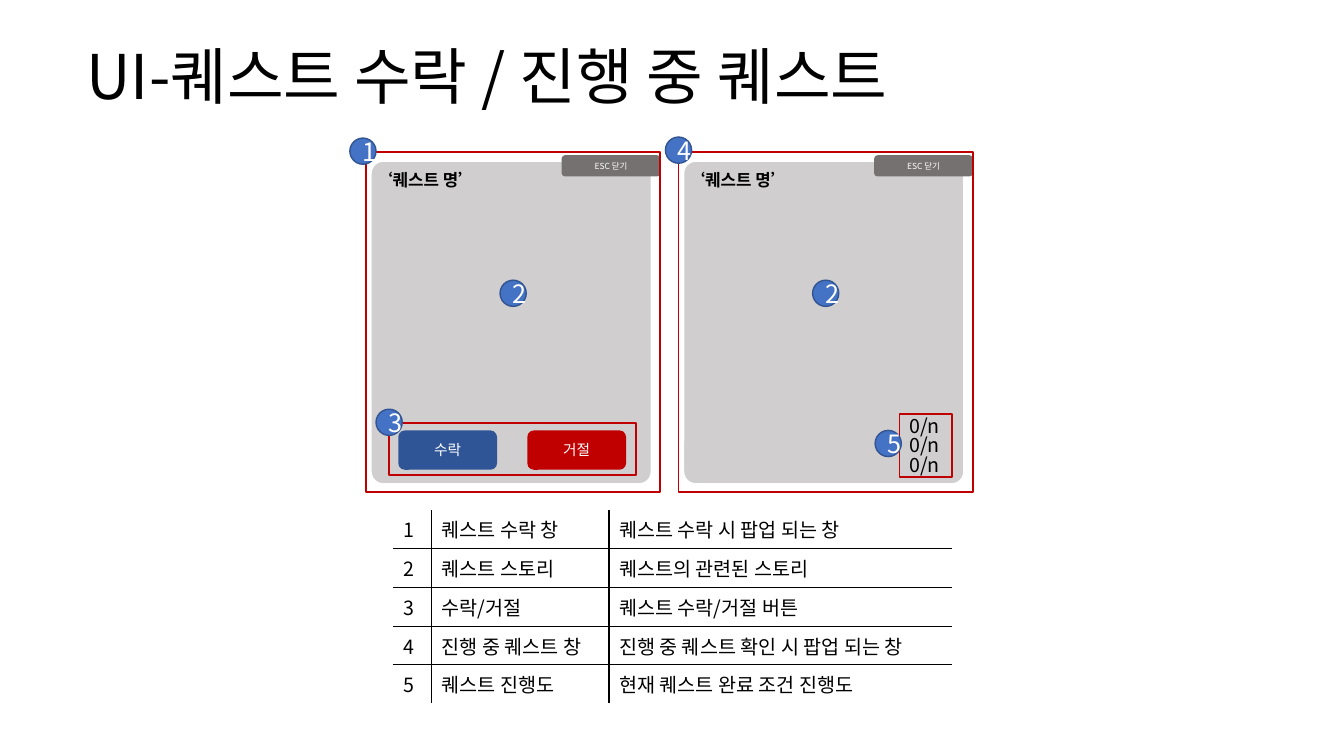
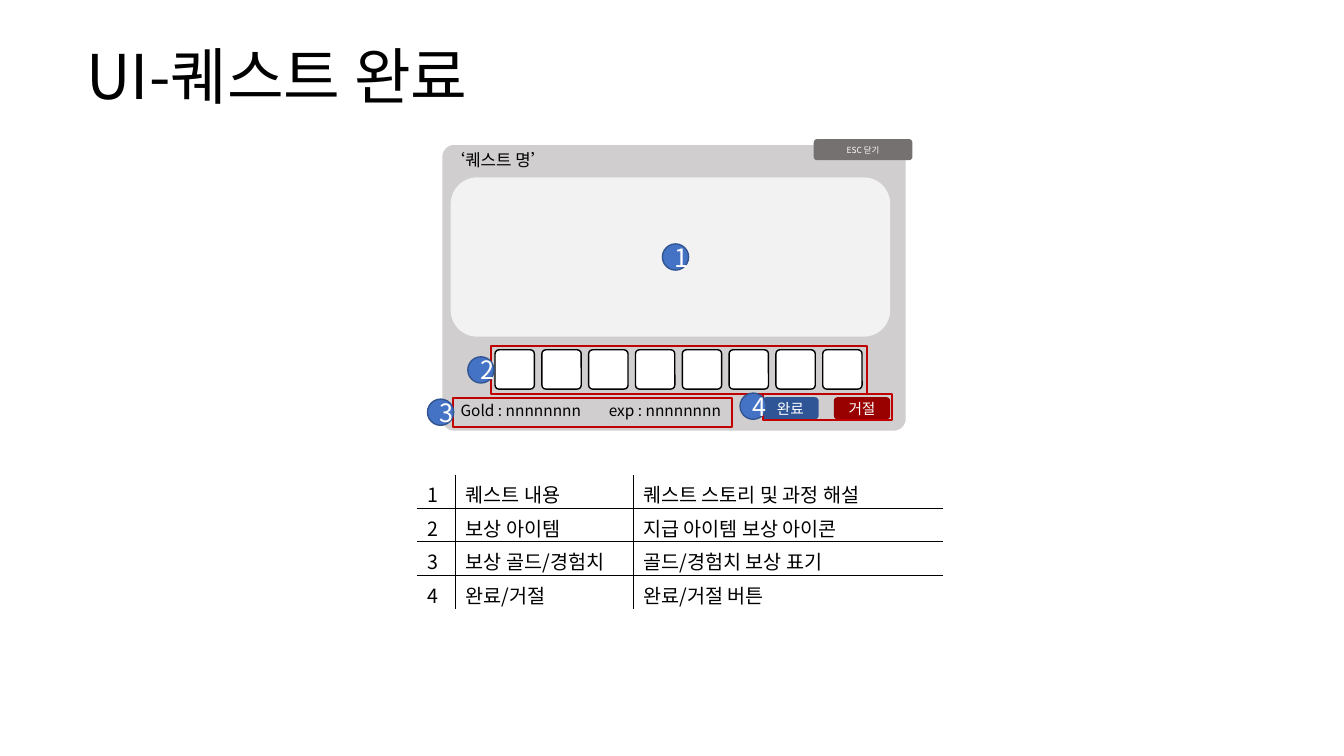
"""Build two slides that explain the quest windows of a game."""
from dataclasses import dataclass
from typing import Optional

from lxml.etree import SubElement
from pptx import Presentation
from pptx.dml.color import RGBColor
from pptx.enum.shapes import MSO_SHAPE
from pptx.enum.text import MSO_ANCHOR, PP_ALIGN
from pptx.oxml.ns import qn
from pptx.slide import Slide
from pptx.util import Inches, Pt


@dataclass(frozen=True)
class Theme:
    font: str = "Noto Sans CJK KR"
    black: str = "000000"
    white: str = "FFFFFF"
    panel: str = "D0CECE"
    paper: str = "F2F2F2"
    gray: str = "767171"
    blue: str = "2F5597"
    red: str = "C00000"
    dark: str = "990000"
    badge: str = "4472C4"
    edge: str = "325491"
    title: float = 44
    mark: float = 18
    body: float = 14
    name: float = 12
    prize: float = 11
    button: float = 10.5
    hint: float = 6


@dataclass(frozen=True)
class Box:
    x: float
    y: float
    w: float
    h: float


@dataclass(frozen=True)
class Style:
    kind: MSO_SHAPE = MSO_SHAPE.ROUNDED_RECTANGLE
    fill: Optional[str] = None
    line: Optional[str] = None
    width: float = 1
    round: Optional[float] = None
    size: float = 10.5


@dataclass(frozen=True)
class Badge:
    text: str
    x: float
    y: float


T = Theme()
PANEL = Style(fill=T.panel, line=T.white, round=0.043)
PAPER = Style(fill=T.paper)
SLOT = Style(fill=T.white, line=T.black, round=0.101)
FRAME = Style(MSO_SHAPE.RECTANGLE, line=T.red, width=1.25)
BADGE = Style(MSO_SHAPE.OVAL, T.badge, T.edge, size=T.mark)
HINT = Style(fill=T.gray, size=T.hint)
BLUE = Style(fill=T.blue, size=T.button)
RED = Style(fill=T.red, size=T.button)
DARK = Style(fill=T.dark, size=T.button)


def write(frame, text: str, size: float, color: str = T.black,
          bold: bool = False):
    """Set the text of a frame and return its paragraph."""
    para = frame.paragraphs[0]
    para.text = text
    font = para.font
    font.name, font.size, font.bold = T.font, Pt(size), bold
    font.color.rgb = RGBColor.from_string(color)
    SubElement(font._element, qn("a:ea"), typeface=T.font)
    return para


def draw(slide: Slide, box: Box, style: Style, text: str = "") -> None:
    """Draw one shape with centred white text."""
    shape = slide.shapes.add_shape(
        style.kind, Inches(box.x), Inches(box.y), Inches(box.w), Inches(box.h))
    shape.shadow.inherit = False
    if style.round is not None:
        shape.adjustments[0] = style.round
    if style.fill:
        shape.fill.solid()
        shape.fill.fore_color.rgb = RGBColor.from_string(style.fill)
    else:
        shape.fill.background()
    if style.line:
        shape.line.color.rgb = RGBColor.from_string(style.line)
        shape.line.width = Pt(style.width)
    else:
        shape.line.fill.background()
    if text:
        shape.text_frame.vertical_anchor = MSO_ANCHOR.MIDDLE
        para = write(shape.text_frame, text, style.size, T.white)
        para.alignment = PP_ALIGN.CENTER


def label(slide: Slide, box: Box, text: str, size: float,
          bold: bool = False):
    """Add a text box and return its frame."""
    frame = slide.shapes.add_textbox(
        Inches(box.x), Inches(box.y), Inches(box.w), Inches(box.h)).text_frame
    frame.word_wrap = True
    frame.margin_right = 0
    write(frame, text, size, bold=bold)
    return frame


def start(deck, text: str) -> Slide:
    """Add a blank slide with a title."""
    slide = deck.slides.add_slide(deck.slide_layouts[6])
    frame = label(slide, Box(0.76, 0.32, 11.81, 0.94), text, T.title)
    frame.vertical_anchor = MSO_ANCHOR.MIDDLE
    frame.paragraphs[0].line_spacing = 0.9
    return slide


def rule(cell, side: str, shown: bool) -> None:
    """Show or hide one border of a cell."""
    line = SubElement(cell._tc.get_or_add_tcPr(), qn(f"a:ln{side}"),
                      w=str(Pt(1)))
    if shown:
        fill = SubElement(line, qn("a:solidFill"))
        SubElement(fill, qn("a:srgbClr"), val=T.black)
    else:
        SubElement(line, qn("a:noFill"))


def legend(slide: Slide, x: float, y: float, last: float, high: float,
           rows: list[tuple[str, str]]) -> None:
    """Add the numbered table with inner rules only."""
    wide = (0.38, 1.76, last)
    table = slide.shapes.add_table(
        len(rows), len(wide), Inches(x), Inches(y),
        Inches(sum(wide)), Inches(high * len(rows))).table
    table.first_row = table.horz_banding = False
    for col, size in zip(table.columns, wide):
        col.width = Inches(size)
    for r, row in enumerate(rows):
        table.rows[r].height = Inches(high)
        for c, text in enumerate((str(r + 1), *row)):
            cell = table.cell(r, c)
            cell.margin_bottom = 0
            for side, shown in (("L", c > 0), ("R", c < len(wide) - 1),
                                ("T", r > 0), ("B", r < len(rows) - 1)):
                rule(cell, side, shown)
            cell.fill.background()
            write(cell.text_frame, text, T.body)


def close(slide: Slide, x: float, y: float) -> None:
    """Draw the close hint."""
    draw(slide, Box(x, y, 0.98, 0.21), HINT, "ESC 닫기")


def mark(slide: Slide, *marks: Badge) -> None:
    """Draw the numbered badges."""
    for item in marks:
        draw(slide, Box(item.x, item.y, 0.26, 0.26), BADGE, item.text)


def window(slide: Slide, x: float) -> None:
    """Draw one quest window inside its red frame."""
    draw(slide, Box(x + 0.05, 1.6, 2.78, 3.2), PANEL)
    close(slide, x + 1.94, 1.54)
    label(slide, Box(x, 1.63, 1.9, 0.53), "‘퀘스트 명’", T.name, True)
    draw(slide, Box(x, 1.51, 2.92, 3.37), FRAME)


def accept(deck) -> None:
    """Build the slide on accepted and running quests."""
    slide = start(deck, "UI-퀘스트 수락 / 진행 중 퀘스트")
    legend(slide, 3.9, 5.06, 3.4, 0.384, [
        ("퀘스트 수락 창", "퀘스트 수락 시 팝업 되는 창"),
        ("퀘스트 스토리", "퀘스트의 관련된 스토리"),
        ("수락/거절", "퀘스트 수락/거절 버튼"),
        ("진행 중 퀘스트 창", "진행 중 퀘스트 확인 시 팝업 되는 창"),
        ("퀘스트 진행도", "현재 퀘스트 완료 조건 진행도"),
    ])
    for x in (3.63, 6.73):
        window(slide, x)
    draw(slide, Box(3.95, 4.27, 0.98, 0.39), BLUE, "수락")
    draw(slide, Box(5.23, 4.27, 0.98, 0.39), RED, "거절")
    draw(slide, Box(3.86, 4.2, 2.45, 0.51), FRAME)
    for i in range(3):
        label(slide, Box(8.92, 4.06 + 0.19 * i, 0.52, 0.23), "0/n", T.body)
    draw(slide, Box(8.92, 4.11, 0.52, 0.62), FRAME)
    mark(slide, Badge("1", 3.47, 1.37), Badge("4", 6.6, 1.36),
         Badge("3", 3.73, 4.06), Badge("2", 4.96, 2.78),
         Badge("5", 8.68, 4.27), Badge("2", 8.06, 2.78))


def finish(deck) -> None:
    """Build the slide on completed quests."""
    slide = start(deck, "UI-퀘스트 완료")
    draw(slide, Box(4.38, 1.43, 4.61, 2.85), PANEL)
    label(slide, Box(4.35, 1.44, 1.36, 0.3), "‘퀘스트 명’", T.name)
    draw(slide, Box(7.56, 3.94, 0.56, 0.22), BLUE, "완료")
    draw(slide, Box(8.27, 3.94, 0.56, 0.22), DARK, "거절")
    draw(slide, Box(4.47, 1.76, 4.36, 1.58), PAPER)
    for i in range(8):
        draw(slide, Box(4.91 + 3.25 / 7 * i, 3.47, 0.39, 0.39), SLOT)
    for i, text in enumerate(("Gold : nnnnnnnn", "exp : nnnnnnnn")):
        label(slide, Box(4.47 + 1.47 * i, 3.93, 1.47, 0.29), text, T.prize)
    for box in (Box(4.87, 3.43, 3.73, 0.48), Box(7.57, 3.91, 1.28, 0.26),
                Box(4.49, 3.95, 2.77, 0.29)):
        draw(slide, box, FRAME)
    mark(slide, Badge("1", 6.57, 2.42), Badge("2", 4.64, 3.54),
         Badge("3", 4.24, 3.96), Badge("4", 7.34, 3.9))
    legend(slide, 4.14, 4.71, 3.07, 0.333, [
        ("퀘스트 내용", "퀘스트 스토리 및 과정 해설"),
        ("보상 아이템", "지급 아이템 보상 아이콘"),
        ("보상 골드/경험치", "골드/경험치 보상 표기"),
        ("완료/거절", "완료/거절 버튼"),
    ])
    close(slide, 8.07, 1.38)


def main() -> None:
    """Build and save the deck."""
    deck = Presentation()
    deck.slide_width, deck.slide_height = Inches(13.33), Inches(7.5)
    accept(deck)
    finish(deck)
    deck.save("out.pptx")


if __name__ == "__main__":
    main()
